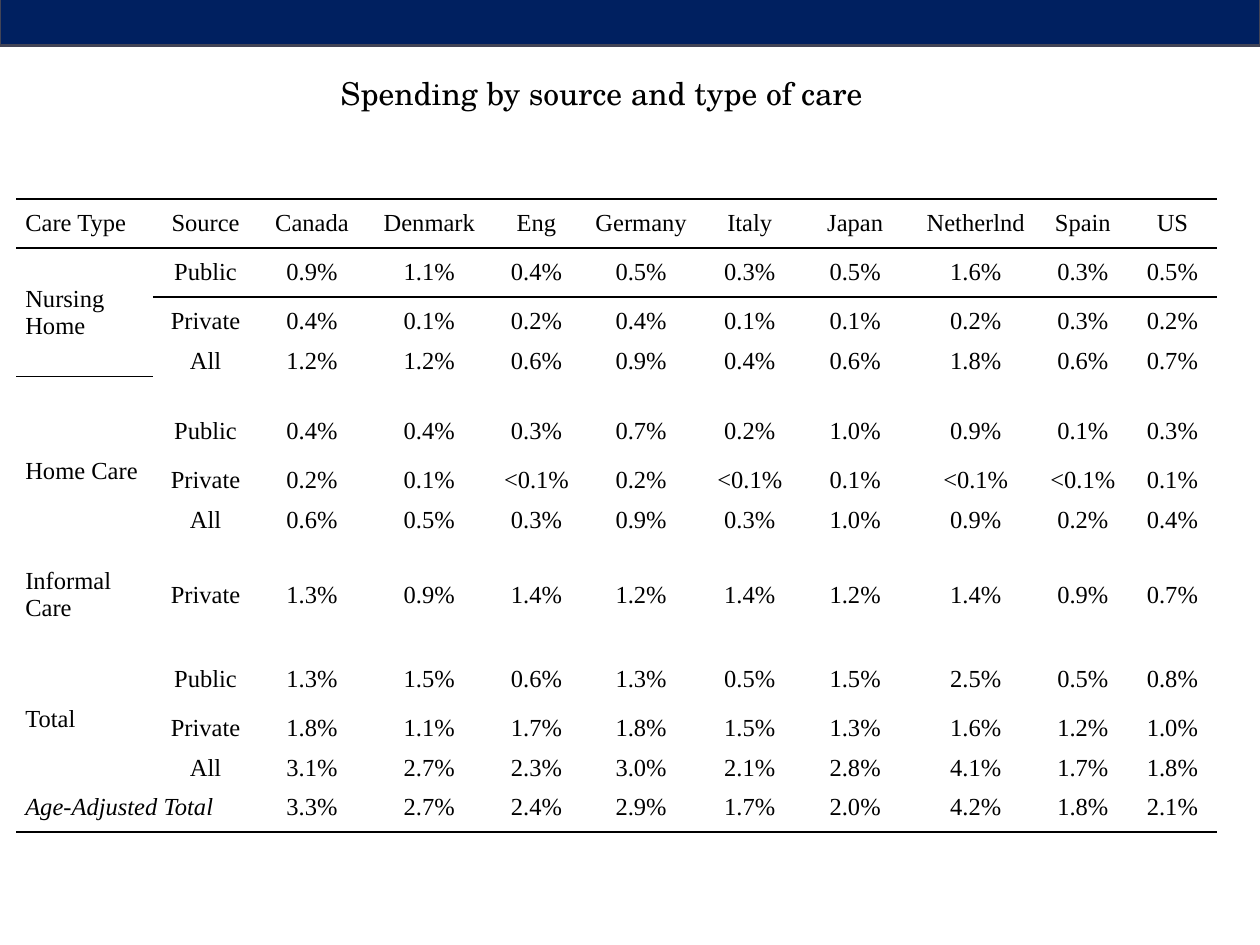
from typing import NamedTuple

from lxml import etree
from pptx import Presentation
from pptx.dml.color import RGBColor
from pptx.enum.shapes import MSO_SHAPE
from pptx.enum.text import MSO_ANCHOR, MSO_AUTO_SIZE, PP_ALIGN
from pptx.oxml.ns import qn
from pptx.table import Table, _Cell
from pptx.util import Cm, Pt

RECTANGLE = MSO_SHAPE.RECTANGLE
MIDDLE = MSO_ANCHOR.MIDDLE
LEFT, CENTER = PP_ALIGN.LEFT, PP_ALIGN.CENTER

NAVY = RGBColor(0x00, 0x20, 0x60)
SLATE = RGBColor(0x42, 0x44, 0x56)
BLACK = RGBColor(0x00, 0x00, 0x00)

TITLE_FONT = "TeX Gyre Schola"
TABLE_FONT = "Times New Roman"
TABLE_SIZE = Pt(14)
PLAIN_STYLE = "{2D5ABB26-0587-4C30-8999-92F81FD0307C}"

TALL, SHORT, TWO_LINE = Cm(0.99), Cm(0.61), Cm(1.15)
COLUMN_WIDTHS = [Cm(w) for w in (2.75, 2.13, 2.16, 2.57, 1.75, 2.47, 1.91, 2.34, 2.52, 1.8, 1.81)]
HEAVY, LIGHT = Pt(1.5), Pt(1)


class Line(NamedTuple):
    """One table row; an empty care type continues the group above."""
    care_type: str = ""
    source: str = ""
    values: str = ""
    height: int = TALL


GAP = Line(height=SHORT)
LINES = [
    Line("Care Type", "Source", "Canada Denmark Eng Germany Italy Japan Netherlnd Spain US"),
    Line("Nursing Home", "Public", "0.9% 1.1% 0.4% 0.5% 0.3% 0.5% 1.6% 0.3% 0.5%"),
    Line("", "Private", "0.4% 0.1% 0.2% 0.4% 0.1% 0.1% 0.2% 0.3% 0.2%"),
    Line("", "All", "1.2% 1.2% 0.6% 0.9% 0.4% 0.6% 1.8% 0.6% 0.7%", SHORT),
    GAP,
    Line("Home Care", "Public", "0.4% 0.4% 0.3% 0.7% 0.2% 1.0% 0.9% 0.1% 0.3%"),
    Line("", "Private", "0.2% 0.1% <0.1% 0.2% <0.1% 0.1% <0.1% <0.1% 0.1%"),
    Line("", "All", "0.6% 0.5% 0.3% 0.9% 0.3% 1.0% 0.9% 0.2% 0.4%", SHORT),
    GAP,
    Line("Informal Care", "Private", "1.3% 0.9% 1.4% 1.2% 1.4% 1.2% 1.4% 0.9% 0.7%", TWO_LINE),
    GAP,
    Line("Total", "Public", "1.3% 1.5% 0.6% 1.3% 0.5% 1.5% 2.5% 0.5% 0.8%"),
    Line("", "Private", "1.8% 1.1% 1.7% 1.8% 1.5% 1.3% 1.6% 1.2% 1.0%"),
    Line("", "All", "3.1% 2.7% 2.3% 3.0% 2.1% 2.8% 4.1% 1.7% 1.8%", SHORT),
    Line("Age-Adjusted Total", "", "3.3% 2.7% 2.4% 2.9% 1.7% 2.0% 4.2% 1.8% 2.1%"),
]
LAST = len(LINES) - 1
# Horizontal rules by row: (side, width), top before bottom
RULES = {
    0: [("a:lnT", HEAVY), ("a:lnB", LIGHT)],
    1: [("a:lnT", LIGHT)],
    LAST: [("a:lnB", HEAVY)],
}


def add_rule(cell: _Cell, side: str, width: int) -> None:
    rule = etree.SubElement(cell._tc.get_or_add_tcPr(), qn(side), w=str(width))
    fill = etree.SubElement(rule, qn("a:solidFill"))
    etree.SubElement(fill, qn("a:srgbClr"), val=str(BLACK))


def fill_cell(cell: _Cell, text: str, align: PP_ALIGN, italic: bool) -> None:
    cell.margin_left = cell.margin_right = Cm(0.18)
    cell.margin_top = cell.margin_bottom = 0
    cell.vertical_anchor = MIDDLE
    cell.fill.background()
    paragraph = cell.text_frame.paragraphs[0]
    paragraph.alignment = align
    font = paragraph.font
    font.name, font.size, font.italic = TABLE_FONT, TABLE_SIZE, italic
    font.color.rgb = BLACK
    if text:
        paragraph.text = text
    else:
        # An empty paragraph takes its height from its end mark
        etree.SubElement(paragraph._p, qn("a:endParaRPr"), sz=str(int(TABLE_SIZE.pt * 100)))


def merge_groups(table: Table) -> None:
    """Join each care type with its continuation rows, and the last label with its source."""
    for top, line in enumerate(LINES):
        bottom = top
        while line.care_type and bottom < LAST and LINES[bottom + 1].source and not LINES[bottom + 1].care_type:
            bottom += 1
        if bottom > top:
            table.cell(top, 0).merge(table.cell(bottom, 0))
    table.cell(LAST, 0).merge(table.cell(LAST, 1))


def add_spending_table(slide) -> None:
    height = sum(line.height for line in LINES)
    table = slide.shapes.add_table(len(LINES), len(COLUMN_WIDTHS), Cm(0.33), Cm(4.01),
                                   sum(COLUMN_WIDTHS), height).table
    table.first_row = table.horz_banding = False
    table._tbl.tblPr.find(qn("a:tableStyleId")).text = PLAIN_STYLE
    for column, width in zip(table.columns, COLUMN_WIDTHS):
        column.width = width
    for r, line in enumerate(LINES):
        table.rows[r].height = line.height
        values = line.values.split() or [""] * (len(COLUMN_WIDTHS) - 2)
        for c, text in enumerate([line.care_type, line.source, *values]):
            cell = table.cell(r, c)
            for side, width in RULES.get(r, []):
                add_rule(cell, side, width)
            fill_cell(cell, text, CENTER if c else LEFT, r == LAST and c == 0)
    merge_groups(table)


def add_banner(slide) -> None:
    banner = slide.shapes.add_shape(RECTANGLE, 0, Cm(-0.15), Cm(25.4), Cm(1.07))
    banner.shadow.inherit = False
    banner.fill.solid()
    banner.fill.fore_color.rgb = NAVY
    banner.line.color.rgb = SLATE
    banner.line.width = Pt(1.5)


def add_title(slide) -> None:
    frame = slide.shapes.add_textbox(Cm(3.38), Cm(1.37), Cm(17.5), Cm(1.02)).text_frame
    frame.word_wrap = True
    frame.auto_size = MSO_AUTO_SIZE.SHAPE_TO_FIT_TEXT
    title = frame.paragraphs[0]
    title.text = "Spending by source and type of care"
    title.alignment = CENTER
    title.font.name, title.font.size = TITLE_FONT, Pt(18)
    title.font.color.rgb = BLACK


def main() -> None:
    presentation = Presentation()
    presentation.slide_width, presentation.slide_height = Cm(25.4), Cm(19.05)
    slide = presentation.slides.add_slide(presentation.slide_layouts[6])
    add_banner(slide)
    add_title(slide)
    add_spending_table(slide)
    presentation.save("out.pptx")


if __name__ == "__main__":
    main()
